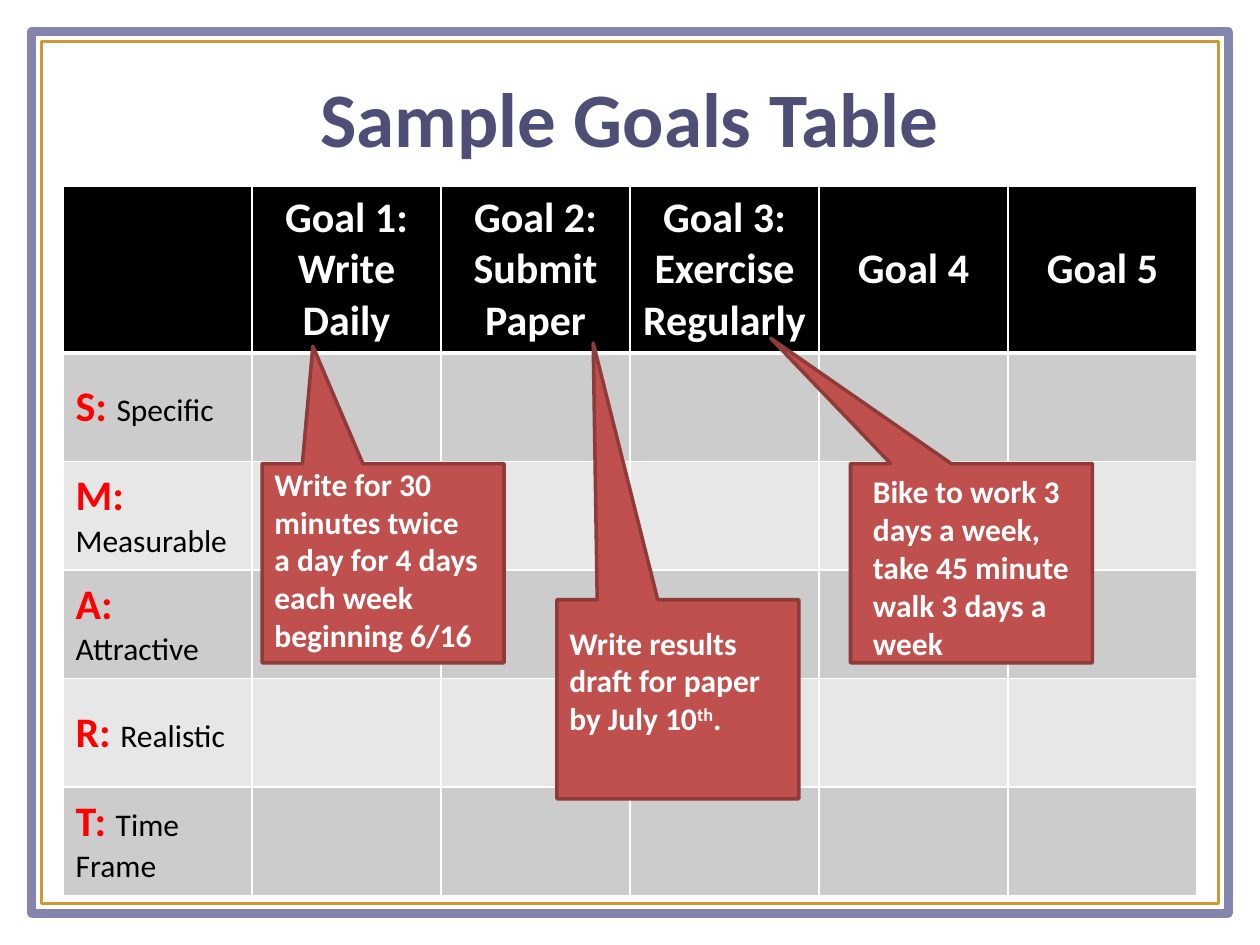
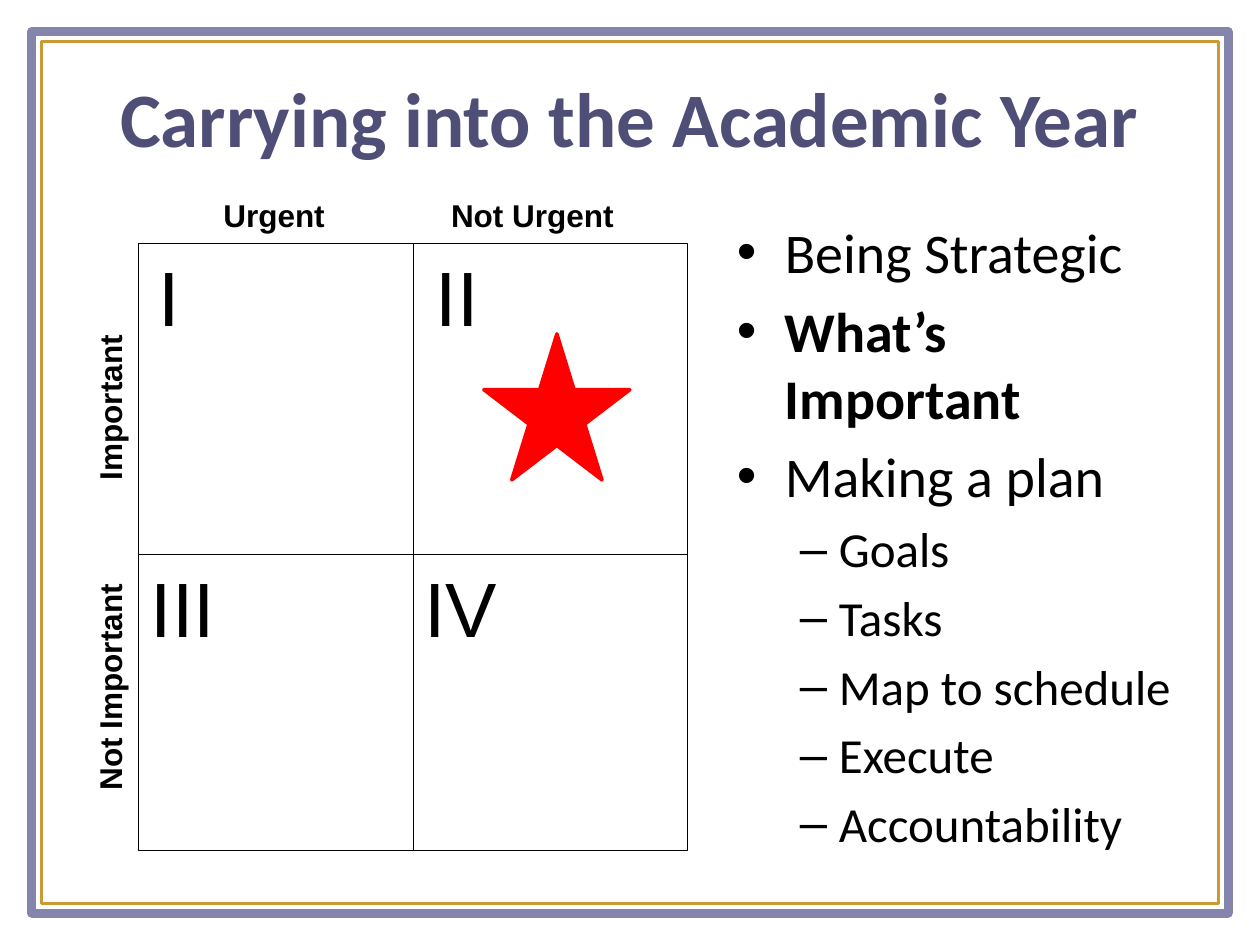
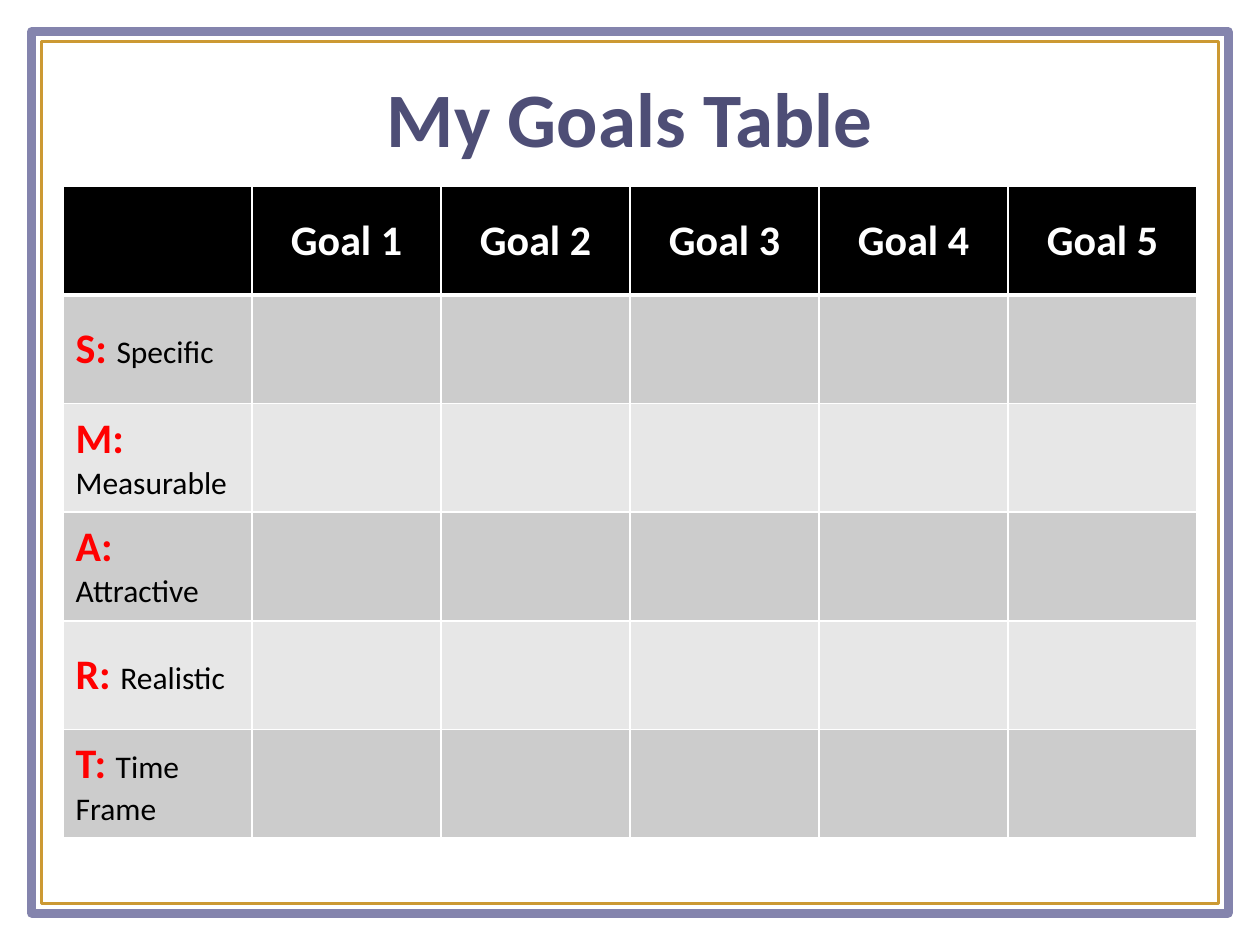
from lxml import etree
from pptx import Presentation
from pptx.dml.color import RGBColor
from pptx.enum.shapes import MSO_CONNECTOR, MSO_SHAPE
from pptx.enum.text import MSO_ANCHOR, MSO_AUTO_SIZE, PP_ALIGN
from pptx.oxml.ns import qn
from pptx.util import Inches, Pt

RECT, CALLOUT, STAR = MSO_SHAPE.RECTANGLE, MSO_SHAPE.RECTANGULAR_CALLOUT, MSO_SHAPE.STAR_5_POINT
STRAIGHT = MSO_CONNECTOR.STRAIGHT
MIDDLE, TOP = MSO_ANCHOR.MIDDLE, MSO_ANCHOR.TOP
LEFT, CENTER = PP_ALIGN.LEFT, PP_ALIGN.CENTER
GROW = MSO_AUTO_SIZE.SHAPE_TO_FIT_TEXT

COLORS = {
    "white": "FFFFFF", "black": "000000", "title": "4E4E76",
    "frame": "666699", "gold": "CC9933", "red": "FF0000",
    "callout": "C0504D", "callout_edge": "8E3B39",
    "band_dark": "CCCCCC", "band_light": "E7E7E7",
}

# The slide is a grid of 100 columns by 75 rows
COLUMNS, ROWS = 100, 75
SLIDE_WIDTH, SLIDE_HEIGHT = Inches(10), Inches(7.5)

SMART = ["Specific", "Measurable", "Attractive", "Realistic", "Time Frame"]


def rgb(name):
    return RGBColor.from_string(COLORS[name])


def across(columns):
    return round(columns * SLIDE_WIDTH / COLUMNS)


def down(rows):
    return round(rows * SLIDE_HEIGHT / ROWS)


def grid_box(left, top, width, height):
    return across(left), down(top), across(width), down(height)


def add_xml(parent, tag, **attributes):
    child = etree.SubElement(parent, qn(tag))
    for key, value in attributes.items():
        child.set(key, str(value))
    return child


def write(paragraph, text, size=18, color="black", bold=False, font="Calibri",
          align=None, raised=False):
    """Add one formatted run to a paragraph."""
    if align is not None:
        paragraph.alignment = align
    run = paragraph.add_run()
    run.text = text
    run.font.name, run.font.size, run.font.bold = font, Pt(size), bold
    run.font.color.rgb = rgb(color)
    if raised:
        run._r.get_or_add_rPr().set("baseline", "30000")


def space_before(paragraph, percent):
    spacing = add_xml(paragraph._p.get_or_add_pPr(), "a:spcBef")
    add_xml(spacing, "a:spcPct", val=percent * 1000)


def make_translucent(fill_parent, percent):
    color = fill_parent.find(qn("a:solidFill")).find(qn("a:srgbClr"))
    add_xml(color, "a:alpha", val=percent * 1000)


class Deck:
    """Holds the shared style and the slide being built."""

    def __init__(self):
        self.prs = Presentation()
        self.prs.slide_width, self.prs.slide_height = SLIDE_WIDTH, SLIDE_HEIGHT
        self.layout = self.prs.slide_layouts[5]
        self.slide = None
        for placeholder in list(self.layout.placeholders):
            if placeholder.placeholder_format.idx:
                placeholder.element.getparent().remove(placeholder.element)

    def start_slide(self, title):
        first = self.slide is None
        self.slide = self.prs.slides.add_slide(self.layout)
        if first:
            self.frame_layout()
        heading = self.slide.shapes.title
        heading.left, heading.top, heading.width, heading.height = grid_box(5, 3, 90, 12.5)
        heading.text_frame.vertical_anchor = MIDDLE
        write(heading.text_frame.paragraphs[0], title, size=44, color="title",
              bold=True, align=CENTER)

    def frame_layout(self):
        """Put the double frame on the layout, behind its title."""
        outer = self.shape(RECT, (2.5, 2.5, 95, 70), line="frame", weight=5)
        make_translucent(outer.element.spPr.find(qn("a:ln")), 80)
        inner = self.shape(RECT, (3.3, 3.3, 93.4, 68.4), fill="white", line="gold", weight=2)
        make_translucent(inner.element.spPr, 80)
        tree = self.layout.shapes.element
        for position, border in enumerate((outer, inner), start=2):
            tree.insert(position, border.element)

    def shape(self, kind, place, fill=None, line="black", weight=0.75):
        shape = self.slide.shapes.add_shape(kind, *grid_box(*place))
        shape.shadow.inherit = False
        if fill:
            shape.fill.solid()
            shape.fill.fore_color.rgb = rgb(fill)
        else:
            shape.fill.background()
        shape.line.color.rgb = rgb(line)
        shape.line.width = Pt(weight)
        add_xml(shape.element.spPr.find(qn("a:ln")), "a:round")
        return shape

    def text_box(self, place, grow=True, rotation=0):
        box = self.slide.shapes.add_textbox(*grid_box(*place))
        box.rotation = rotation
        frame = box.text_frame
        frame.word_wrap = True
        frame.vertical_anchor = TOP
        if grow:
            frame.auto_size = GROW
        return frame

    def label(self, text, place, rotation=0, **style):
        paragraph = self.text_box(place, rotation=rotation).paragraphs[0]
        write(paragraph, text, font="Arial", **style)
        space_before(paragraph, 50)

    def line(self, start, end):
        connector = self.slide.shapes.add_connector(
            STRAIGHT, across(start[0]), down(start[1]), across(end[0]), down(end[1]))
        connector.line.color.rgb = rgb("black")
        connector.line.width = Pt(0.75)
        add_xml(connector.element.spPr, "a:effectLst")
        return connector

    def callout(self, corner, pointer, note_place, runs):
        bubble = self.shape(CALLOUT, (*corner, 19.2, 15.8), fill="callout",
                            line="callout_edge", weight=2)
        bubble.adjustments[0], bubble.adjustments[1] = pointer
        note = self.text_box(note_place).paragraphs[0]
        for text, raised in runs:
            write(note, text, color="white", bold=True, raised=raised)

    def bullets(self, place, items):
        """Write (level, text, bold) items as a two-level list."""
        levels = [(32, "•", 0.38, 0.38), (28, "–", 0.81, 0.31)]
        frame = self.text_box(place, grow=False)
        for number, (level, text, bold) in enumerate(items):
            paragraph = frame.add_paragraph() if number else frame.paragraphs[0]
            size, mark, margin, hanging = levels[level]
            paragraph.level = level
            write(paragraph, text, size=size, bold=bold, align=LEFT)
            space_before(paragraph, 20)
            properties = paragraph._p.get_or_add_pPr()
            properties.set("marL", str(Inches(margin)))
            properties.set("indent", str(-Inches(hanging)))
            add_xml(properties, "a:buFont", typeface="Arial")
            add_xml(properties, "a:buChar", char=mark)

    def style_cell(self, cell, fill, top, bottom):
        properties = cell._tc.get_or_add_tcPr()
        for side, weight in (("L", 1), ("R", 1), ("T", top), ("B", bottom)):
            edge = add_xml(properties, f"a:ln{side}", w=Pt(weight))
            add_xml(add_xml(edge, "a:solidFill"), "a:srgbClr", val=COLORS["white"])
        cell.fill.solid()
        cell.fill.fore_color.rgb = rgb(fill)
        cell.vertical_anchor = MIDDLE

    def goals_table(self, goals):
        row_height = 8.62
        row_count, column_count = len(SMART) + 1, len(goals) + 1
        table = self.slide.shapes.add_table(
            row_count, column_count,
            *grid_box(5, 14.8, 15 * column_count, row_height * row_count)).table
        for row in range(row_count):
            table.rows[row].height = down(row_height)
            fill = "black" if row == 0 else ("band_dark" if row % 2 else "band_light")
            for column in range(column_count):
                self.style_cell(table.cell(row, column), fill,
                                top=3 if row == 1 else 1, bottom=3 if row == 0 else 1)
        for column, goal in enumerate(goals, start=1):
            write(table.cell(0, column).text_frame.paragraphs[0], goal, size=24,
                  color="white", bold=True, align=CENTER)
        for row, criterion in enumerate(SMART, start=1):
            paragraph = table.cell(row, 0).text_frame.paragraphs[0]
            write(paragraph, f"{criterion[0]}: ", size=24, color="red", bold=True)
            write(paragraph, criterion)


def sample_goals(deck):
    deck.start_slide("Sample Goals Table")
    deck.goals_table(["Goal 1: Write Daily", "Goal 2: Submit Paper",
                      "Goal 3: Exercise Regularly", "Goal 4", "Goal 5"])
    deck.callout((20.8, 36.8), (-0.29, -1.09), (20.8, 36.4, 18.3, 16.2), [
        ("Write for 30 minutes twice a day for 4 days each week beginning 6/16", False)])
    deck.callout((44.2, 47.6), (-0.35, -1.79), (44.2, 49, 18.3, 10.1), [
        ("Write results draft for paper by July 10", False), ("th", True), (".", False)])
    deck.callout((67.5, 36.8), (-0.83, -1.13), (68.3, 37, 18.3, 16.2), [
        ("Bike to work 3 days a week, take 45 minute walk 3 days a week", False)])


def academic_year(deck):
    deck.start_slide("Carrying into the Academic Year")
    deck.bullets((57.5, 16.8, 37.5, 52.3), [
        (0, "Being Strategic", False), (0, "What’s Important", True),
        (0, "Making a plan", False),
        *((1, step, False) for step in
          ("Goals", "Tasks", "Map to schedule", "Execute", "Accountability"))])

    # Urgency and importance matrix
    left, top, width, height, split = 11, 19.3, 43.6, 48.2, 44
    center, right = left + width / 2, left + width
    matrix = deck.shape(RECT, (left, top, width, height))
    urgency_divider = deck.line((center, top), (center, top + height))
    urgency_divider.begin_connect(matrix, 0)
    urgency_divider.end_connect(matrix, 2)
    deck.line((left, split), (right, split))

    # Quadrant numerals
    for numeral, x, y, numeral_width in (("I", 11.6, top, 8.9), ("II", 33.6, top, 12.4),
                                         ("III", left, split, 12.4), ("IV", 32.7, split, 12.4)):
        deck.label(numeral, (x, y, numeral_width, 11.9), size=44)

    # Axis labels
    for text, place, rotation in (
            ("Urgent", (12, 15.1, 19.5, 5.7), 0),
            ("Not Urgent", (32.5, 15.1, 19.5, 5.7), 0),
            ("Important", (-4.1, 30.2, 25.9, 4.3), 270),
            ("Not Important", (-2.5, 50.8, 25.9, 7.5), 270)):
        deck.label(text, place, rotation=rotation, bold=True, align=CENTER)

    deck.shape(STAR, (38.4, 26.5, 11.6, 11.6), fill="red", line="red", weight=2)


def my_goals(deck):
    deck.start_slide("My Goals Table")
    deck.goals_table([f"Goal {number}" for number in range(1, 6)])


def main():
    deck = Deck()
    sample_goals(deck)
    academic_year(deck)
    my_goals(deck)
    deck.prs.save("out.pptx")


if __name__ == "__main__":
    main()
